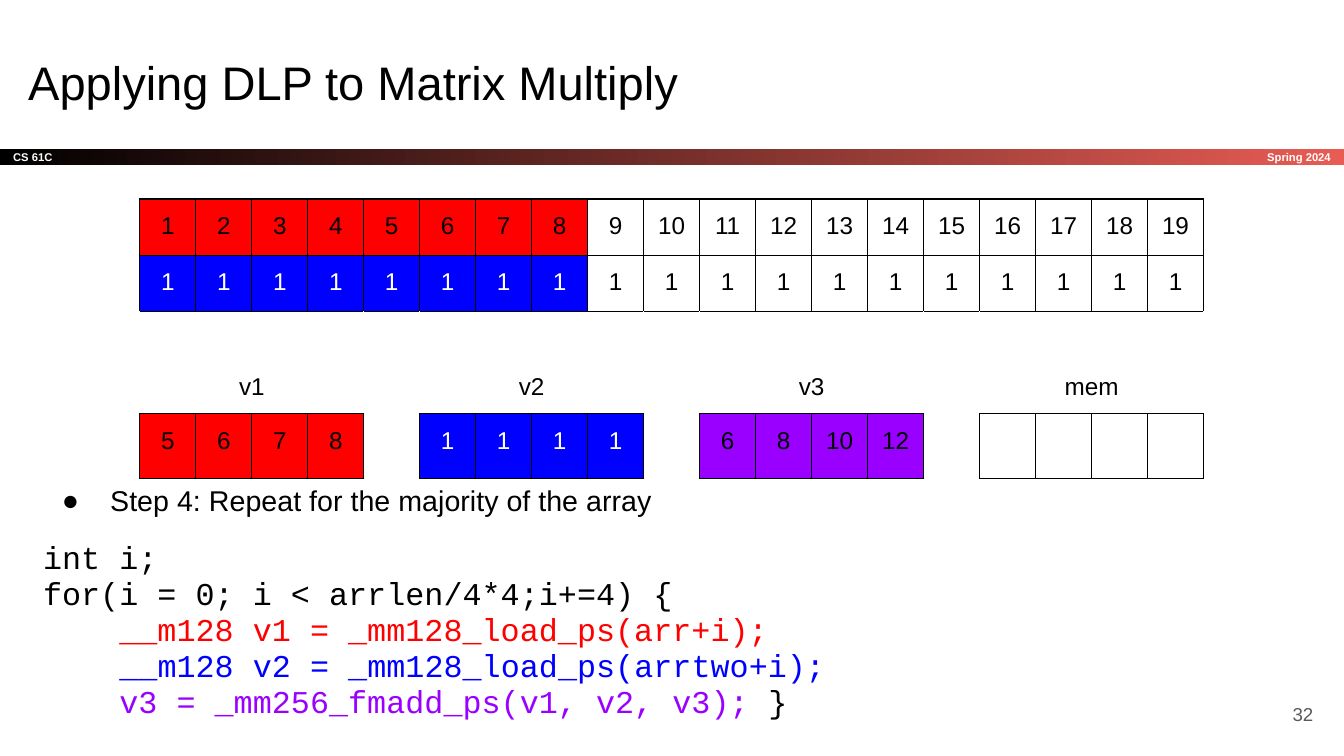
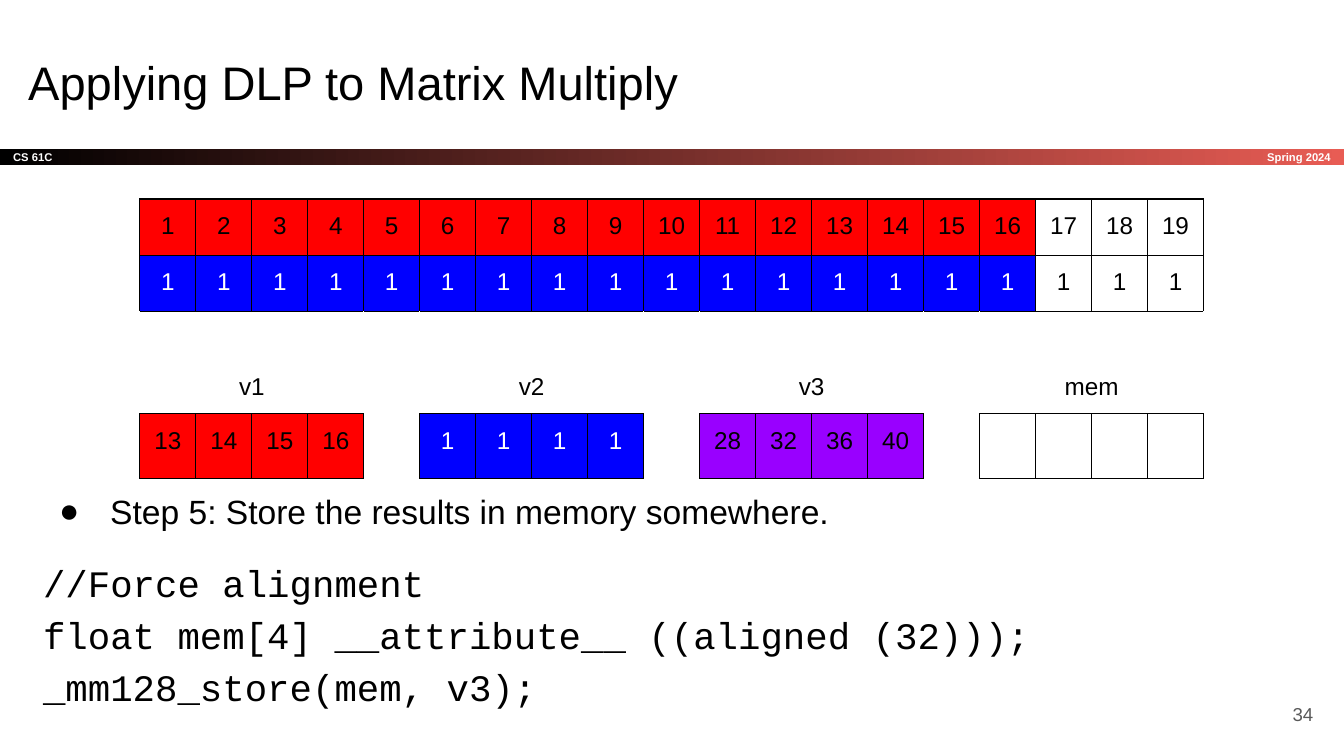
from lxml.etree import SubElement
from pptx import Presentation
from pptx.dml.color import RGBColor
from pptx.enum.shapes import MSO_SHAPE
from pptx.enum.text import MSO_ANCHOR, MSO_AUTO_SIZE, PP_ALIGN
from pptx.oxml.ns import qn
from pptx.util import Inches, Pt

BLACK, WHITE, GREY = "000000", "FFFFFF", "595959"
RED, BLUE, PURPLE, CORAL = "FF0000", "0000FF", "9900FF", "E85C54"
SANS, MONO = "Arial", "Courier New"
COLS, LANES = 19, 4


def rgb(color):
    return RGBColor.from_string(color)


class Deck:
    def __init__(self):
        self.prs = Presentation()
        self.prs.slide_width = Inches(10)
        self.prs.slide_height = Inches(10) * 9 // 16
        self.s = None

    def slide(self, title, number):
        self.s = self.prs.slides.add_slide(self.prs.slide_layouts[1])
        self.band("CS 61C", "Spring 2024")
        self.title(title)
        self.textbox(9.27, 5.1, 0.6, 0.43, number, 10, GREY)

    # Text helpers
    def frame(self, tf, anchor=MSO_ANCHOR.TOP):
        tf.word_wrap, tf.auto_size = True, MSO_AUTO_SIZE.NONE
        tf.vertical_anchor = anchor
        tf.margin_left = tf.margin_right = Inches(0.1)
        tf.margin_top = tf.margin_bottom = Inches(0.1)
        return tf.paragraphs[0]

    def run(self, p, text, size, color=BLACK, font=SANS, bold=False):
        r = p.add_run()
        r.text = text
        r.font.size, r.font.name, r.font.bold = Pt(size), font, bold
        r.font.color.rgb = rgb(color)

    def line_break(self, p, size):
        p.add_line_break()
        SubElement(p._p[-1], qn("a:rPr"), sz=str(size * 100))

    def place(self, sp, x, y, w, h):
        sp.left, sp.top = Inches(x), Inches(y)
        sp.width, sp.height = Inches(w), Inches(h)

    def textbox(self, x, y, w, h, text, size, color, bold=False):
        sp = self.s.shapes.add_textbox(Inches(x), Inches(y), Inches(w), Inches(h))
        p = self.frame(sp.text_frame, MSO_ANCHOR.MIDDLE)
        p.alignment = PP_ALIGN.RIGHT
        self.run(p, text, size, color, bold=bold)

    # Gradient band under the title
    def band(self, course, term):
        y, h = 1.11, 0.12
        sp = self.s.shapes.add_shape(MSO_SHAPE.RECTANGLE, 0, Inches(y),
                                     self.prs.slide_width, Inches(h))
        sp.shadow.inherit = False
        sp.line.fill.background()
        sp.fill.gradient()
        sp.fill.gradient_angle = 0
        for stop, color, pos in zip(sp.fill.gradient_stops, (BLACK, CORAL), (0, 1)):
            stop.color.rgb, stop.position = rgb(color), pos
        p = self.frame(sp.text_frame, MSO_ANCHOR.MIDDLE)
        p.alignment = PP_ALIGN.LEFT
        self.run(p, course, 6, WHITE, bold=True)
        self.textbox(8.34, y, 1.66, h, term, 6, WHITE, bold=True)

    def title(self, text):
        sp = self.s.shapes.title
        self.place(sp, 0.11, 0.3, 9.32, 0.63)
        p = self.frame(sp.text_frame)
        p.alignment = PP_ALIGN.LEFT
        self.run(p, text, 25.2)

    # Bulleted step followed by its code; each code line is a list of runs
    def body(self, step, step_size, hang, code, code_size, spacing):
        sp = self.s.placeholders[1]
        self.place(sp, 0.22, 3.51, 9.32, 1.97)
        p = self.frame(sp.text_frame)
        self.bullet(p, 0.5, -hang, "●")
        p.line_spacing, p.space_before = spacing, Pt(0)
        self.run(p, step, step_size)

        p = sp.text_frame.add_paragraph()
        self.bullet(p, 0, 0)
        p.line_spacing, p.space_before, p.space_after = spacing, Pt(12), Pt(12)
        for i, line in enumerate(code):
            if i:
                self.line_break(p, code_size)
            for text, color in line:
                self.run(p, text, code_size, color, MONO)

    def bullet(self, p, left, indent, char=None):
        pPr = p._p.get_or_add_pPr()
        pPr.set("marL", str(Inches(left)))
        pPr.set("indent", str(Inches(indent)))
        if char:
            SubElement(SubElement(pPr, qn("a:buClr")), qn("a:srgbClr"), val=BLACK)
            SubElement(pPr, qn("a:buFont"), typeface=SANS)
            SubElement(pPr, qn("a:buChar"), char=char)
        else:
            SubElement(pPr, qn("a:buNone"))

    # Table cells; borders are left, right, top, bottom
    def cell(self, cell, text="", fill=None, color=BLACK, borders=(BLACK,) * 4,
             anchor=MSO_ANCHOR.TOP):
        tcPr = cell._tc.get_or_add_tcPr()
        for side, line in zip(("lnL", "lnR", "lnT", "lnB"), borders):
            ln = SubElement(tcPr, qn("a:" + side), w=str(Pt(0.75)))
            SubElement(SubElement(ln, qn("a:solidFill")), qn("a:srgbClr"), val=line)
        if fill:
            cell.fill.solid()
            cell.fill.fore_color.rgb = rgb(fill)
        else:
            cell.fill.background()
        cell.margin_left = cell.margin_right = Inches(0.1)
        cell.margin_top = cell.margin_bottom = Inches(0.1)
        cell.vertical_anchor = anchor
        p = cell.text_frame.paragraphs[0]
        if text:
            p.alignment = PP_ALIGN.CENTER
            self.run(p, text, 13, color)
        else:
            end = SubElement(p._p, qn("a:endParaRPr"), sz="1800")
            SubElement(end, qn("a:latin"), typeface=SANS)

    # Two arrays on top, four vector registers below
    def arrays(self, done, v1, v2, v3):
        heights = (0.42, 0.42, 0.76, 0.42)
        width = Inches(7.92)
        t = self.s.shapes.add_table(len(heights), COLS, Inches(1.04), Inches(1.48),
                                    width, Inches(sum(heights))).table
        t.first_row = t.horz_banding = False
        for row, h in zip(t.rows, heights):
            row.height = Inches(h)
        for col in t.columns:
            col.width = width // COLS

        for c in range(COLS):
            used = c < done
            self.cell(t.cell(0, c), str(c + 1), RED if used else None)
            self.cell(t.cell(1, c), "1", BLUE if used else None,
                      WHITE if used else BLACK)

        registers = (("v1", v1, RED, BLACK), ("v2", v2, BLUE, WHITE),
                     ("v3", v3, PURPLE, BLACK), ("mem", [""] * LANES, None, BLACK))
        for i, (name, values, fill, color) in enumerate(registers):
            first = i * (LANES + 1)
            last = first + LANES - 1
            t.cell(2, first).merge(t.cell(2, last))
            for lane, value in enumerate(values):
                self.cell(t.cell(2, first + lane), "" if lane else name,
                          borders=(WHITE, WHITE, BLACK, BLACK),
                          anchor=MSO_ANCHOR.BOTTOM)
                self.cell(t.cell(3, first + lane), str(value), fill, color)
            if last + 1 < COLS:
                self.cell(t.cell(2, last + 1), borders=(WHITE, WHITE, BLACK, WHITE))
                self.cell(t.cell(3, last + 1), borders=(BLACK, BLACK, WHITE, WHITE))


def main():
    deck = Deck()
    title = "Applying DLP to Matrix Multiply"

    # Step 4: loop over the array
    deck.slide(title, "32")
    deck.body("Step 4: Repeat for the majority of the array", 15.3, 0.36, [
        [("int i;", BLACK)],
        [("for(i = 0; i < arrlen/4*4;i+=4) {", BLACK)],
        [("    __m128 v1 = _mm128_load_ps(arr+i);", RED)],
        [("    ", PURPLE), ("__m128 v2 = _mm128_load_ps(arrtwo+i);", BLUE)],
        [("    v3 = _mm256_fmadd_ps(v1, v2, v3); ", PURPLE), ("}", BLACK)],
    ], 17, 0.95)
    deck.arrays(8, [5, 6, 7, 8], [1] * LANES, [6, 8, 10, 12])

    # Step 5: store the sums
    deck.slide(title, "34")
    deck.body("Step 5: Store the results in memory somewhere.", 18, 0.38, [
        [("//Force alignment", BLACK)],
        [("float mem[4] __attribute__ ((aligned (32)));", BLACK)],
        [("_mm128_store(mem, v3);", BLACK)],
    ], 20, 1.15)
    deck.arrays(16, [13, 14, 15, 16], [1] * LANES, [28, 32, 36, 40])

    deck.prs.save("out.pptx")


if __name__ == "__main__":
    main()
